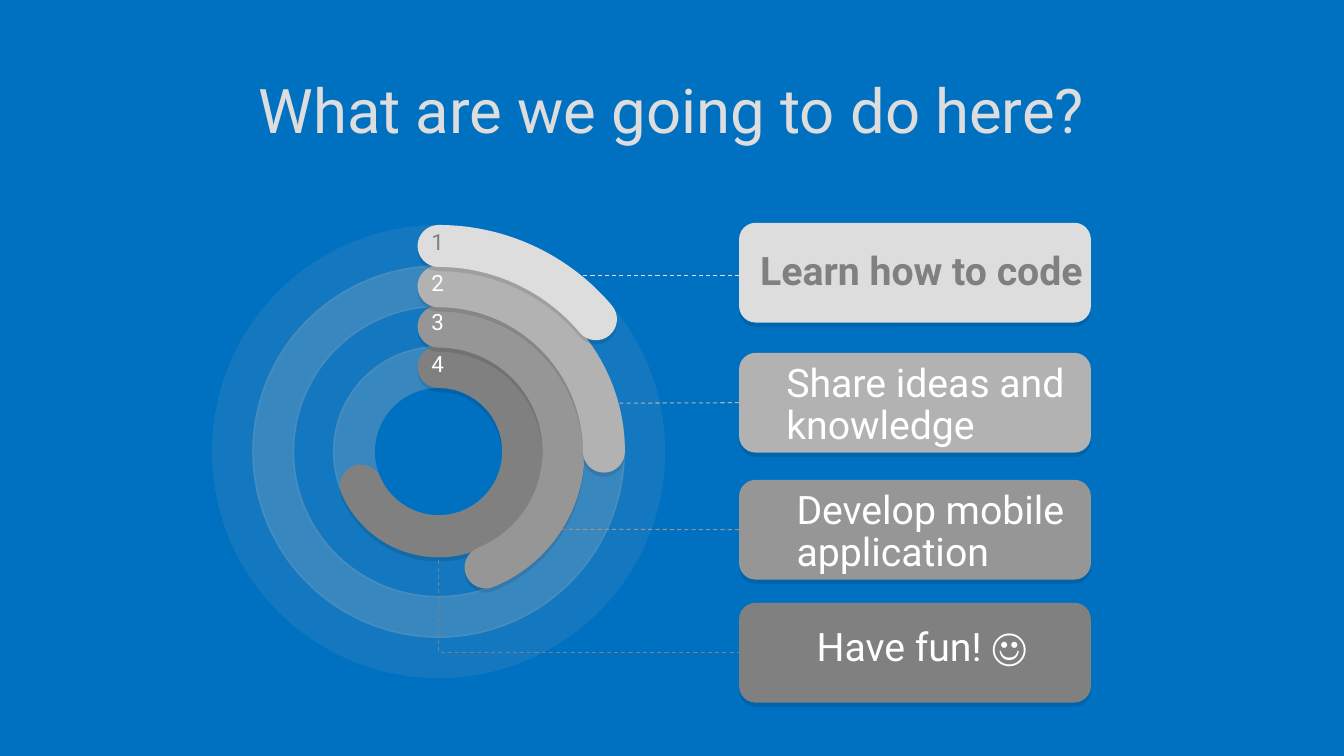
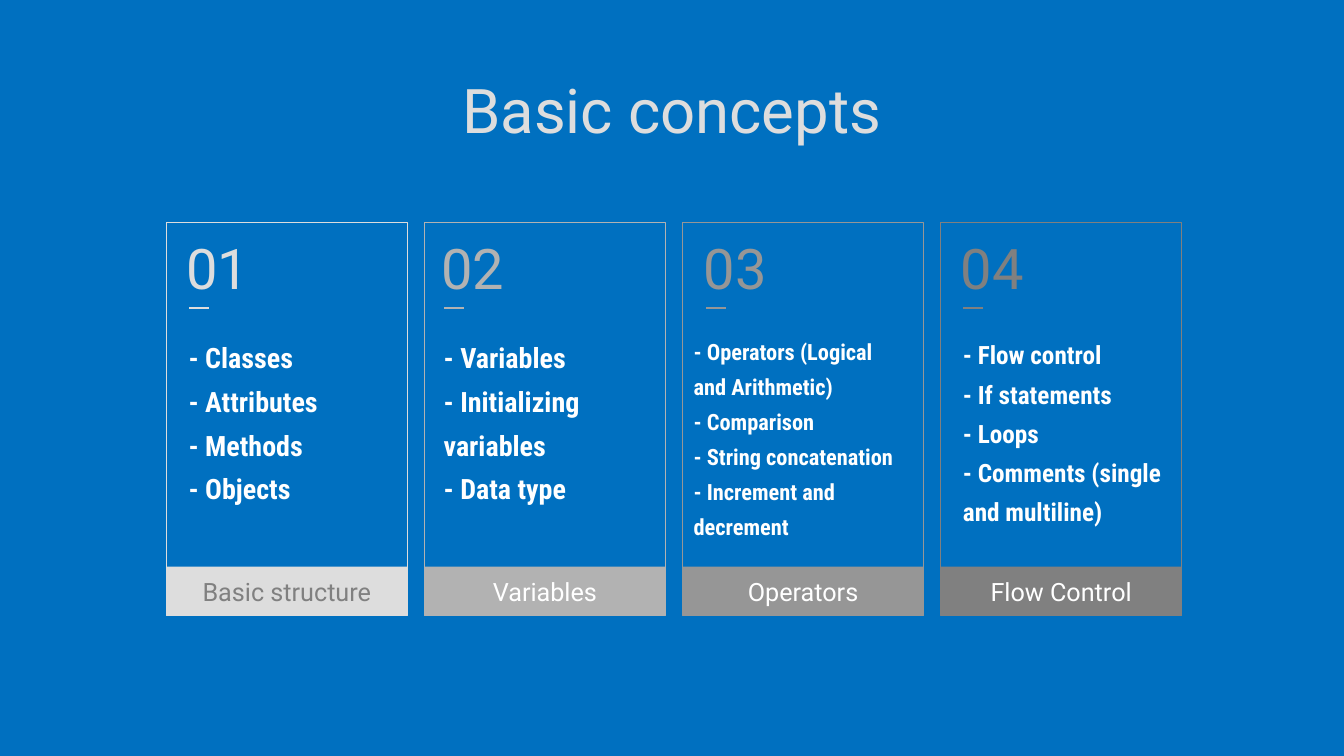
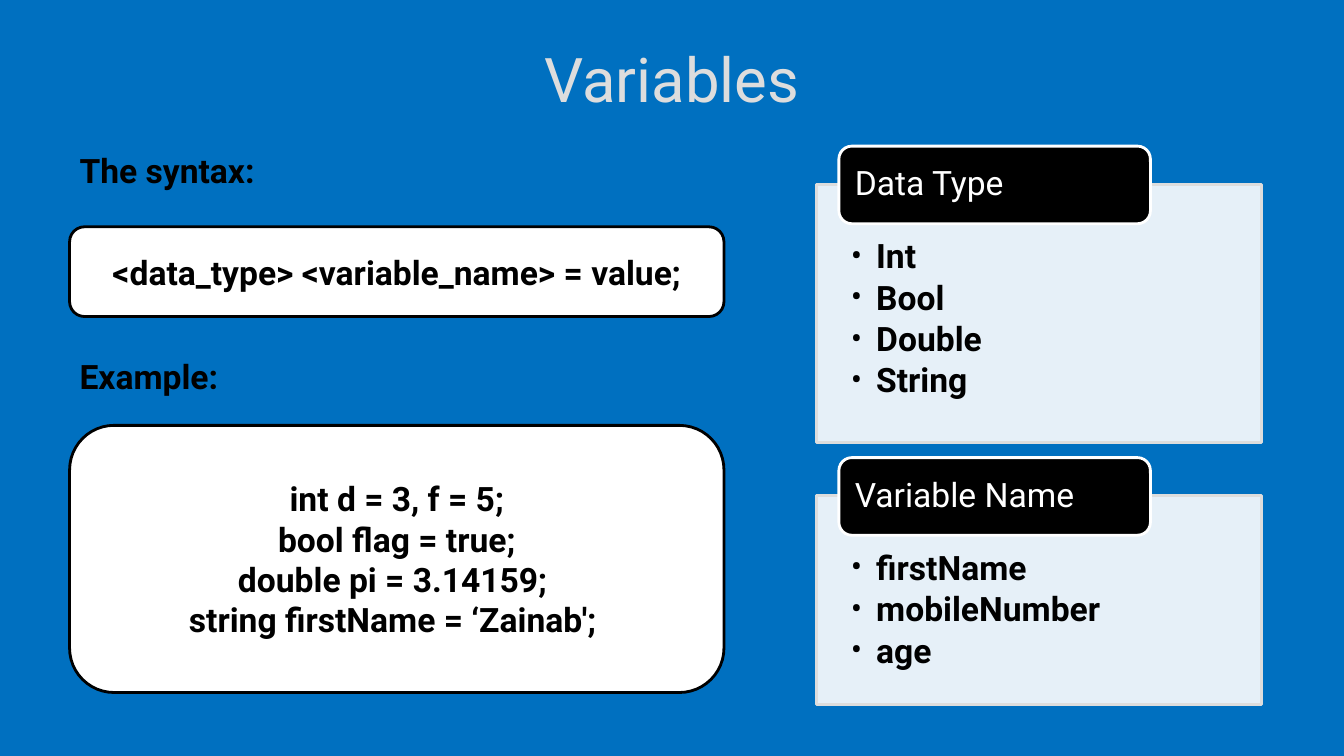
from dataclasses import dataclass, replace
from typing import Any, Optional

import lxml.etree
import pptx
import pptx.dml.color
import pptx.enum.dml
import pptx.enum.shapes
import pptx.enum.text
import pptx.oxml.ns
import pptx.util

Inches = pptx.util.Inches
Pt = pptx.util.Pt
Shapes = pptx.enum.shapes.MSO_SHAPE
Anchor = pptx.enum.text.MSO_ANCHOR
Align = pptx.enum.text.PP_ALIGN
qn = pptx.oxml.ns.qn


@dataclass(frozen=True)
class Theme:
    background: str = "0070C0"
    white: str = "FFFFFF"
    black: str = "000000"
    ring: str = "BFBFBF"
    grays: tuple[str, ...] = ("DDDDDD", "B2B2B2", "969696", "808080")
    font: str = "Roboto"
    narrow_font: str = "Roboto Condensed"
    title_size: float = 44
    number_size: float = 40
    label_size: float = 28
    code_size: float = 24
    caption_size: float = 18
    badge_size: float = 16

    def text_on(self, fill: str) -> str:
        return self.grays[-1] if fill == self.grays[0] else self.white


THEME = Theme()


@dataclass(frozen=True)
class Area:
    left: float
    top: float
    width: float
    height: float

    def lengths(self) -> tuple[Any, ...]:
        return Inches(self.left), Inches(self.top), Inches(self.width), Inches(self.height)


@dataclass(frozen=True)
class TextStyle:
    size: float
    color: str = THEME.white
    bold: bool = False
    font: str = THEME.font
    align: Any = Align.LEFT
    anchor: Any = Anchor.TOP
    spacing: Any = None
    after: float = 0
    insets: tuple[float, float, float, float] = (0.1, 0.05, 0.1, 0.05)
    bullet: bool = False
    grow: bool = False
    wrap: bool = True


@dataclass(frozen=True)
class Goal:
    text: str
    box_top: float
    text_area: Area
    color: str
    bold: bool = False


@dataclass(frozen=True)
class Ring:
    inset: float
    opacity: int
    sweep_end: float
    badge_top: float
    color: str


@dataclass(frozen=True)
class Leader:
    end: float
    y: float
    joined: bool = True


@dataclass(frozen=True)
class Card:
    caption: str
    lines: tuple[str, ...]
    size: float
    text_left: float
    body: Area
    color: str


@dataclass(frozen=True)
class Panel:
    heading: str
    items: tuple[str, ...]
    top: float
    height: float


@dataclass(frozen=True)
class CodeBlock:
    heading: str
    heading_top: float
    lines: tuple[str, ...]
    area: Area


GOAL_STYLE = TextStyle(THEME.label_size, spacing=0.89, insets=(0.27, 0.05, 0.27, 0.11), grow=True)
BADGE_STYLE = TextStyle(THEME.badge_size, spacing=0.89, grow=True, wrap=False)
CAPTION_STYLE = TextStyle(THEME.caption_size, align=Align.CENTER, anchor=Anchor.MIDDLE)
HEADING_STYLE = TextStyle(THEME.code_size, THEME.black, True, grow=True)
CODE_STYLE = TextStyle(THEME.code_size, THEME.black, True, align=Align.CENTER, anchor=Anchor.MIDDLE)
PANEL_STYLE = TextStyle(THEME.code_size, THEME.black, True, spacing=0.9, after=3.6,
                        insets=(0.34, 0.55, 0.34, 0.19), bullet=True)
TAB_STYLE = TextStyle(THEME.code_size, anchor=Anchor.MIDDLE, spacing=0.9,
                      insets=(0.12, 0, 0.12, 0))
TITLE_STYLE = TextStyle(THEME.title_size, THEME.grays[0], align=Align.CENTER,
                        anchor=Anchor.MIDDLE, spacing=0.9, insets=(0, 0, 0, 0))

GOALS = (
    Goal("Learn how to code", 2.21, Area(7.27, 2.45, 4.24, 0.58), THEME.grays[0], True),
    Goal("Share ideas and knowledge", 3.5, Area(7.53, 3.56, 3.73, 1), THEME.grays[1]),
    Goal("Develop mobile application", 4.76, Area(7.63, 4.82, 3.79, 1), THEME.grays[2]),
    Goal("Have fun! ☺", 5.98, Area(7.83, 6.18, 4.24, 0.58), THEME.grays[3]),
)
RINGS = (
    Ring(0, 10, 191.96, 2.25, THEME.grays[0]),
    Ring(0.4, 30, 0, 2.65, THEME.grays[1]),
    Ring(0.8, 10, 40.75, 3.04, THEME.grays[2]),
    Ring(1.2, 30, 93.77, 3.46, THEME.grays[3]),
)
LEADERS = (Leader(5.62, 2.73, False), Leader(6.04, 4), Leader(5.31, 5.25))
CARDS = (
    Card("Basic structure", ("- Classes", "- Attributes", "- Methods", "- Objects"),
         20, 1.87, Area(1.87, 3.23, 2.01, 1.85), THEME.grays[0]),
    Card("Variables", ("- Variables", "- Initializing variables", "- Data type"),
         20, 4.4, Area(4.4, 3.23, 2.01, 1.85), THEME.grays[1]),
    Card("Operators", ("- Operators (Logical and Arithmetic)", "- Comparison",
                       "- String concatenation", "- Increment and decrement"),
         16, 7, Area(6.88, 3.23, 2.13, 2.2), THEME.grays[2]),
    Card("Flow Control", ("- Flow control", "- If statements", "- Loops",
                          "- Comments (single and multiline)"),
         18, 9.55, Area(9.55, 3.23, 2.01, 2.46), THEME.grays[3]),
)
PANELS = (
    Panel("Data Type", ("Int", "Bool", "Double", "String"), 1.83, 2.56),
    Panel("Variable Name", ("firstName", "mobileNumber", "age"), 4.92, 2.07),
)
CODE_BLOCKS = (
    CodeBlock("The syntax:", 1.44, ("<data_type> <variable_name> = value;",),
              Area(0.69, 2.25, 6.49, 0.89)),
    CodeBlock("Example:", 3.48,
              ("int d = 3, f = 5;", "bool flag = true;", "double pi = 3.14159; ",
               "string firstName = ‘Zainab'; "),
              Area(0.69, 4.22, 6.49, 2.65)),
)


def rgb(color: str) -> pptx.dml.color.RGBColor:
    return pptx.dml.color.RGBColor.from_string(color)


def add_bullet(para: Any, font: str) -> None:
    properties = para._p.get_or_add_pPr()
    properties.set("marL", str(Inches(0.25)))
    properties.set("indent", str(-Inches(0.25)))
    defaults = properties.find(qn("a:defRPr"))
    defaults.addprevious(lxml.etree.Element(qn("a:buFont"), typeface=font))
    defaults.addprevious(lxml.etree.Element(qn("a:buChar"), char="•"))


def write(box: Any, lines: tuple[str, ...], style: TextStyle) -> None:
    frame = box.text_frame
    frame.word_wrap = style.wrap
    frame.vertical_anchor = style.anchor
    frame.margin_left, frame.margin_top, frame.margin_right, frame.margin_bottom = map(
        Inches, style.insets)
    if style.grow:
        frame.auto_size = pptx.enum.text.MSO_AUTO_SIZE.SHAPE_TO_FIT_TEXT
    for index, line in enumerate(lines):
        para = frame.add_paragraph() if index else frame.paragraphs[0]
        para.add_run().text = line
        para.alignment = style.align
        if style.spacing is not None:
            para.line_spacing = style.spacing
        para.space_after = Pt(style.after)
        para.font.name = style.font
        para.font.size = Pt(style.size)
        para.font.bold = style.bold
        para.font.color.rgb = rgb(style.color)
        if style.bullet:
            add_bullet(para, style.font)


def add_text(page: Any, area: Area, lines: tuple[str, ...], style: TextStyle) -> None:
    write(page.shapes.add_textbox(*area.lengths()), lines, style)


def paint(shape: Any, fill: Optional[str], line: Optional[str], width: float) -> None:
    shape.shadow.inherit = False
    if fill:
        shape.fill.solid()
        shape.fill.fore_color.rgb = rgb(fill)
    else:
        shape.fill.background()
    if line:
        shape.line.color.rgb = rgb(line)
        shape.line.width = Pt(width)
    else:
        shape.line.fill.background()


def add_shape(page: Any, kind: Any, area: Area, fill: Optional[str] = None,
              line: Optional[str] = None, width: float = 1) -> Any:
    shape = page.shapes.add_shape(kind, *area.lengths())
    paint(shape, fill, line, width)
    return shape


def set_opacity(shape: Any, percent: int) -> None:
    color = next(shape.element.spPr.iter(qn("a:srgbClr")))
    lxml.etree.SubElement(color, qn("a:alpha"), val=str(percent * 1000))


def drop_shadow(shape: Any) -> None:
    effects = shape.element.spPr.find(qn("a:effectLst"))
    shadow = lxml.etree.SubElement(effects, qn("a:outerShdw"), blurRad="0", dist=str(Pt(3)),
                                   dir="5400000", algn="t", rotWithShape="0")
    color = lxml.etree.SubElement(shadow, qn("a:srgbClr"), val=THEME.black)
    lxml.etree.SubElement(color, qn("a:alpha"), val="10000")


def add_line(page: Any, start: float, end: float, y: float, color: str, width: float) -> Any:
    line = page.shapes.add_connector(pptx.enum.shapes.MSO_CONNECTOR.STRAIGHT,
                                     Inches(start), Inches(y), Inches(end), Inches(y))
    line.line.color.rgb = rgb(color)
    line.line.width = Pt(width)
    lxml.etree.SubElement(line.element.spPr, qn("a:effectLst"))
    return line


def add_page(deck: Any, title: str, title_top: float = 0.68) -> Any:
    page = deck.slides.add_slide(deck.slide_layouts[6])
    add_text(page, Area(1, title_top, 11.33, 0.89), (title,), TITLE_STYLE)
    return page


def ring_area(ring: Ring) -> Area:
    size = 4.08 - 2 * ring.inset
    return Area(2.31 + ring.inset, 2.44 + ring.inset, size, size)


def add_sweep(page: Any, ring: Ring) -> None:
    arc = add_shape(page, Shapes.ARC, ring_area(ring), line=ring.color, width=30)
    arc.adjustments[0] = 162
    arc.adjustments[1] = ring.sweep_end
    arc.element.spPr.find(qn("a:ln")).set("cap", "rnd")
    drop_shadow(arc)


def add_elbow(page: Any, color: str) -> None:
    builder = page.shapes.build_freeform(Inches(7.42), Inches(6.47))
    builder.add_line_segments(
        [(Inches(4.35), Inches(6.47)), (Inches(4.35), Inches(5.32))], close=False)
    elbow = builder.convert_to_shape()
    paint(elbow, None, color, 0.75)
    elbow.line.dash_style = pptx.enum.dml.MSO_LINE.DASH


def build_goals(deck: Any) -> None:
    page = add_page(deck, "What are we going to do here?")
    boxes = []
    for goal in GOALS:
        box = add_shape(page, Shapes.ROUNDED_RECTANGLE,
                        Area(7.33, goal.box_top, 3.49, 0.99), goal.color)
        drop_shadow(box)
        boxes.append(box)
    for ring in RINGS:
        track = add_shape(page, Shapes.OVAL, ring_area(ring), line=THEME.ring, width=30)
        set_opacity(track, ring.opacity)
    add_sweep(page, RINGS[-1])
    for goal in GOALS:
        add_text(page, goal.text_area, (goal.text,),
                 replace(GOAL_STYLE, bold=goal.bold, color=THEME.text_on(goal.color)))
    add_elbow(page, GOALS[-1].color)
    for goal, box, leader in zip(GOALS, boxes, LEADERS):
        line = add_line(page, 7.33, leader.end, leader.y, goal.color, 0.75)
        line.line.dash_style = pptx.enum.dml.MSO_LINE.DASH
        if leader.joined:
            line.begin_connect(box, 1)
    for ring in reversed(RINGS[:-1]):
        add_sweep(page, ring)
    for number, ring in enumerate(RINGS, 1):
        add_text(page, Area(4.18, ring.badge_top, 0.34, 0.34), (str(number),),
                 replace(BADGE_STYLE, color=THEME.text_on(ring.color)))


def build_concepts(deck: Any) -> None:
    page = add_page(deck, "Basic concepts")
    for index, card in enumerate(CARDS):
        left = 1.65 + index * 2.56
        add_shape(page, Shapes.RECTANGLE, Area(left, 2.21, 2.39, 3.9), line=card.color)
        caption = add_shape(page, Shapes.RECTANGLE, Area(left, 5.62, 2.39, 0.49), card.color)
        write(caption, (card.caption,), replace(CAPTION_STYLE, color=THEME.text_on(card.color)))
        add_text(page, card.body, card.lines,
                 TextStyle(card.size, bold=True, font=THEME.narrow_font, spacing=1.3,
                           insets=(0, 0.05, 0, 0.05), grow=True))
        add_text(page, Area(card.text_left - 0.12, 2.63, 1.05, 0.47), (f"{index + 1:02}",),
                 TextStyle(THEME.number_size, card.color, spacing=Pt(22), grow=True))
        add_line(page, card.text_left + 0.2, card.text_left, 3.06, card.color, 1.5)


def build_variables(deck: Any) -> None:
    page = add_page(deck, "Variables", 0.37)
    for block in CODE_BLOCKS:
        add_text(page, Area(0.69, block.heading_top, 3.38, 0.5), (block.heading,), HEADING_STYLE)
        box = add_shape(page, Shapes.ROUNDED_RECTANGLE, block.area, THEME.white, THEME.black, 2)
        write(box, block.lines, CODE_STYLE)
    for panel in PANELS:
        body = add_shape(page, Shapes.RECTANGLE, Area(8.1, panel.top, 4.41, panel.height),
                         THEME.white, THEME.grays[0], 2)
        set_opacity(body, 90)
        write(body, panel.items, PANEL_STYLE)
        tab = add_shape(page, Shapes.ROUNDED_RECTANGLE, Area(8.32, panel.top - 0.38, 3.09, 0.77),
                        THEME.black, THEME.white, 2)
        write(tab, (panel.heading,), TAB_STYLE)


def main() -> None:
    deck = pptx.Presentation()
    deck.slide_width = Inches(13.33)
    deck.slide_height = Inches(7.5)
    backdrop = deck.slide_master.background.fill
    backdrop.solid()
    backdrop.fore_color.rgb = rgb(THEME.background)
    build_goals(deck)
    build_concepts(deck)
    build_variables(deck)
    deck.save("out.pptx")


if __name__ == "__main__":
    main()
